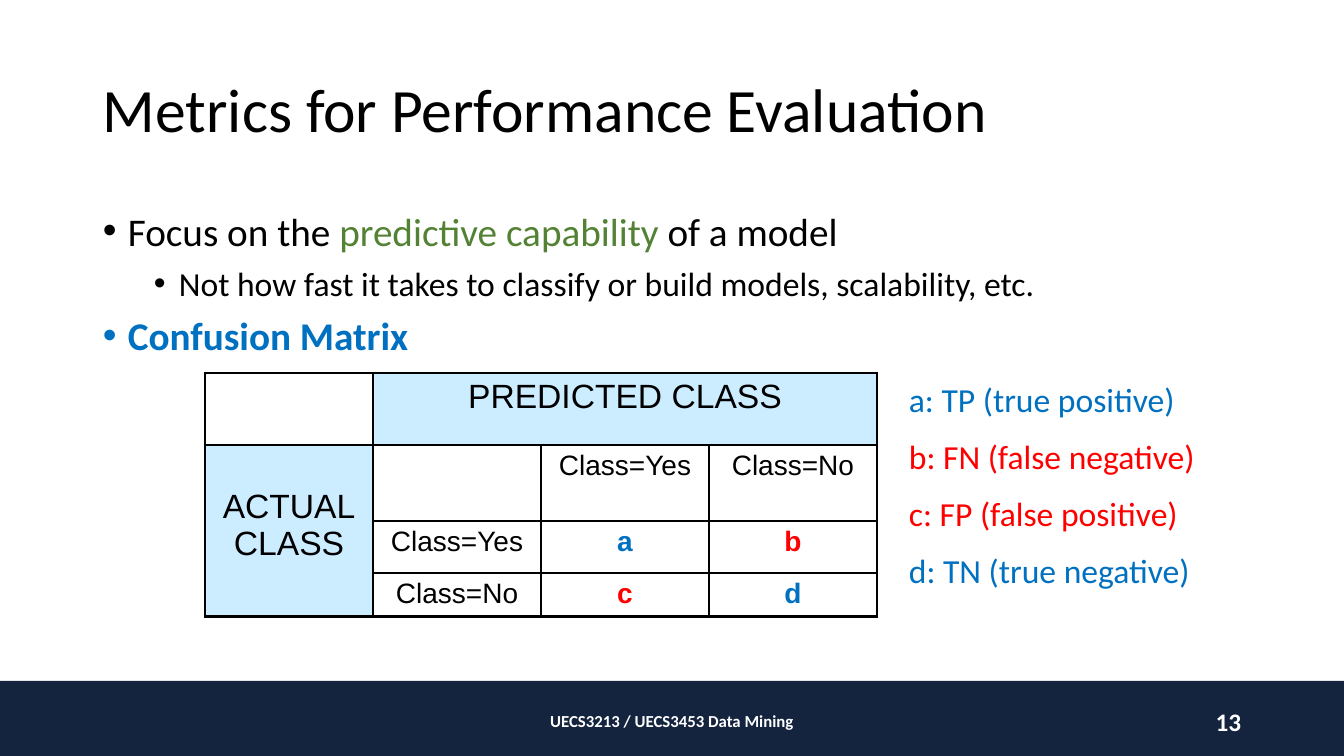
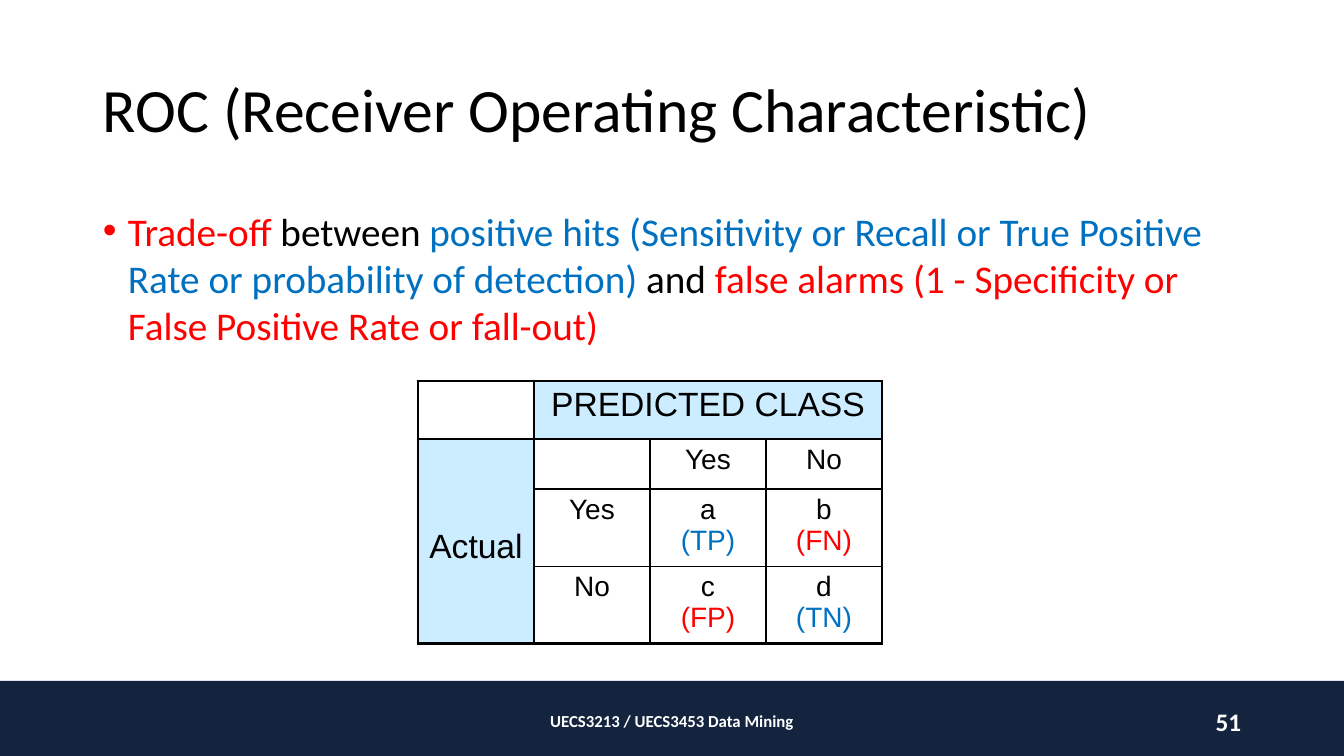
from lxml.etree import SubElement
from pptx import Presentation
from pptx.dml.color import RGBColor
from pptx.enum.shapes import MSO_SHAPE
from pptx.enum.text import MSO_ANCHOR, PP_ALIGN
from pptx.oxml.ns import qn
from pptx.util import Pt

PX = 914400 / 100.8
WIDTH, HEIGHT = 1344, 756
BLACK = RGBColor(0x00, 0x00, 0x00)
WHITE = RGBColor(0xFF, 0xFF, 0xFF)
NAVY = RGBColor(0x14, 0x23, 0x3E)
BLUE = RGBColor(0x00, 0x70, 0xC0)
RED = RGBColor(0xFF, 0x00, 0x00)
GREEN = RGBColor(0x54, 0x82, 0x35)
PALE_BLUE = RGBColor(0xCC, 0xEC, 0xFF)

FOOTER = "UECS3213 / UECS3453 Data Mining"
TITLE_STYLE = {"name": "Calibri", "size": Pt(44), "bold": False}
NUMBER_STYLE = {"name": "Calibri", "size": Pt(18), "bold": True}
FOOTER_STYLE = {"name": "Calibri", "size": Pt(12), "bold": True}
LEGEND_STYLE = {"name": "Calibri", "size": Pt(24), "bold": False}
HEADER_STYLE = {"name": "Arial", "size": Pt(24), "bold": False}
CELL_STYLE = {"name": "Arial", "size": Pt(20), "bold": False}
LEVEL_SIZES = [Pt(28), Pt(24)]
LEVEL_MARGINS = [25, 76]
HANGING = 25


def px(length):
    return round(length * PX)


def write(frame, paragraphs, style, align=PP_ALIGN.LEFT, before=0):
    for index, spans in enumerate(paragraphs):
        para = frame.paragraphs[0] if index == 0 else frame.add_paragraph()
        para.alignment = align
        para.space_before = Pt(before if index else 0)
        for text, color in spans:
            span = para.add_run()
            span.text = text
            span.font.color.rgb = color
            for name, value in style.items():
                setattr(span.font, name, value)


slides = [
    {
        "title": "Metrics for Performance Evaluation",
        "number": "13",
        "bullets": [
            (0, False, [("Focus on the ", BLACK), ("predictive capability ", GREEN),
                        ("of a model", BLACK)]),
            (1, False, [("Not how fast it takes to classify or build models, "
                         "scalability, etc.", BLACK)]),
            (0, True, [("Confusion Matrix", BLUE)]),
        ],
        "table": {
            "left": 205, "top": 373, "column": 168, "rows": [72, 76, 52, 42],
            "actual": ["ACTUAL", "CLASS"], "actual_margin": 43,
            "classes": ["Class=Yes", "Class=No"],
            "outcomes": [[[("a", BLUE)], [("b", RED)]],
                         [[("c", RED)], [("d", BLUE)]]],
            "bold": True,
        },
        "legend": [
            ("a: TP (true positive)", BLUE),
            ("b: FN (false negative)", RED),
            ("c: FP (false positive)", RED),
            ("d: TN (true negative)", BLUE),
        ],
    },
    {
        "title": "ROC (Receiver Operating Characteristic)",
        "number": "51",
        "bullets": [
            (0, False, [("Trade-off", RED), (" between ", BLACK),
                        ("positive hits (Sensitivity or Recall or True Positive "
                         "Rate or probability of detection) ", BLUE),
                        ("and ", BLACK),
                        ("false alarms (1 - Specificity or False Positive Rate "
                         "or fall-out)", RED)]),
        ],
        "table": {
            "left": 418, "top": 381, "column": 116, "rows": [58, 50, 77, 77],
            "actual": ["Actual"], "actual_margin": 89,
            "classes": ["Yes", "No"],
            "outcomes": [[[("a", BLACK), ("(TP)", BLUE)], [("b", BLACK), ("(FN)", RED)]],
                         [[("c", BLACK), ("(FP)", RED)], [("d", BLACK), ("(TN)", BLUE)]]],
            "bold": False,
        },
        "legend": [],
    },
]

deck = Presentation()
deck.slide_width, deck.slide_height = px(WIDTH), px(HEIGHT)

for content in slides:
    page = deck.slides.add_slide(deck.slide_layouts[6])
    band = page.shapes.add_shape(MSO_SHAPE.RECTANGLE, 0, px(681), px(WIDTH), px(HEIGHT - 681))
    band.shadow.inherit = False
    band.fill.solid()
    band.fill.fore_color.rgb = NAVY
    band.line.fill.background()

    lines = [
        (content["title"], (93, 40, 1159, 146), TITLE_STYLE, BLACK, PP_ALIGN.LEFT),
        (FOOTER, (445, 701, 454, 40), FOOTER_STYLE, WHITE, PP_ALIGN.CENTER),
        (content["number"], (949, 701, 302, 40), NUMBER_STYLE, WHITE, PP_ALIGN.RIGHT),
    ]
    for text, bounds, style, color, align in lines:
        frame = page.shapes.add_textbox(*map(px, bounds)).text_frame
        frame.word_wrap = True
        frame.vertical_anchor = MSO_ANCHOR.MIDDLE
        write(frame, [[(text, color)]], style, align)
        if style is TITLE_STYLE:
            frame.paragraphs[0].line_spacing = 0.9

    body = page.shapes.add_textbox(*map(px, (93, 202, 1159, 479))).text_frame
    body.word_wrap = True
    for index, (level, bold, spans) in enumerate(content["bullets"]):
        para = body.paragraphs[0] if index == 0 else body.add_paragraph()
        para.level = level
        para.space_before = Pt(6 if index else 0)
        properties = para._p.get_or_add_pPr()
        properties.set("marL", str(px(LEVEL_MARGINS[level])))
        properties.set("indent", str(px(-HANGING)))
        SubElement(properties, qn("a:buFont"), typeface="Arial")
        SubElement(properties, qn("a:buChar"), char="•")
        for text, color in spans:
            span = para.add_run()
            span.text = text
            span.font.color.rgb = color
            formats = {"name": "Calibri", "size": LEVEL_SIZES[level], "bold": bold}
            for name, value in formats.items():
                setattr(span.font, name, value)

    matrix = content["table"]
    heights = matrix["rows"]
    size = len(heights)
    grid = page.shapes.add_table(
        size, size, px(matrix["left"]), px(matrix["top"]),
        px(matrix["column"] * size), px(sum(heights))).table
    grid.first_row = grid.horz_banding = False
    for index, height in enumerate(heights):
        grid.rows[index].height = px(height)
        grid.columns[index].width = px(matrix["column"])
    predicted, actual = grid.cell(0, 1), grid.cell(1, 0)
    predicted.merge(grid.cell(0, 3))
    actual.merge(grid.cell(3, 0))
    actual.margin_top = px(matrix["actual_margin"])

    for row in range(size):
        for column in range(size):
            cell = grid.cell(row, column)
            right = column + (cell.span_width if cell.is_merge_origin else 1)
            bottom = row + (cell.span_height if cell.is_merge_origin else 1)
            edges = {"L": column == 0, "R": right == size, "T": row == 0, "B": bottom == size}
            properties = cell._tc.get_or_add_tcPr()
            for side, outer in edges.items():
                border = SubElement(properties, qn(f"a:ln{side}"), w=str(Pt(2.25 if outer else 1)))
                paint = SubElement(border, qn("a:solidFill"))
                SubElement(paint, qn("a:srgbClr"), val=str(BLACK))
            if (row == 0) != (column == 0):
                cell.fill.solid()
                cell.fill.fore_color.rgb = PALE_BLUE
            else:
                cell.fill.background()

    write(predicted.text_frame, [[("PREDICTED CLASS", BLACK)]], HEADER_STYLE, PP_ALIGN.CENTER)
    write(actual.text_frame, [[(word, BLACK)] for word in matrix["actual"]],
          HEADER_STYLE, PP_ALIGN.CENTER)
    outcome_style = {**CELL_STYLE, "bold": matrix["bold"]}
    for index, label in enumerate(matrix["classes"], start=2):
        for cell in (grid.cell(1, index), grid.cell(index, 1)):
            write(cell.text_frame, [[(label, BLACK)]], CELL_STYLE, PP_ALIGN.CENTER)
        for column, outcome in enumerate(matrix["outcomes"][index - 2], start=2):
            write(grid.cell(index, column).text_frame, [[span] for span in outcome],
                  outcome_style, PP_ALIGN.CENTER)

    if content["legend"]:
        legend = page.shapes.add_textbox(*map(px, (899, 374, 390, 234))).text_frame
        legend.word_wrap = True
        write(legend, [[entry] for entry in content["legend"]], LEGEND_STYLE, before=12)

deck.save("out.pptx")
